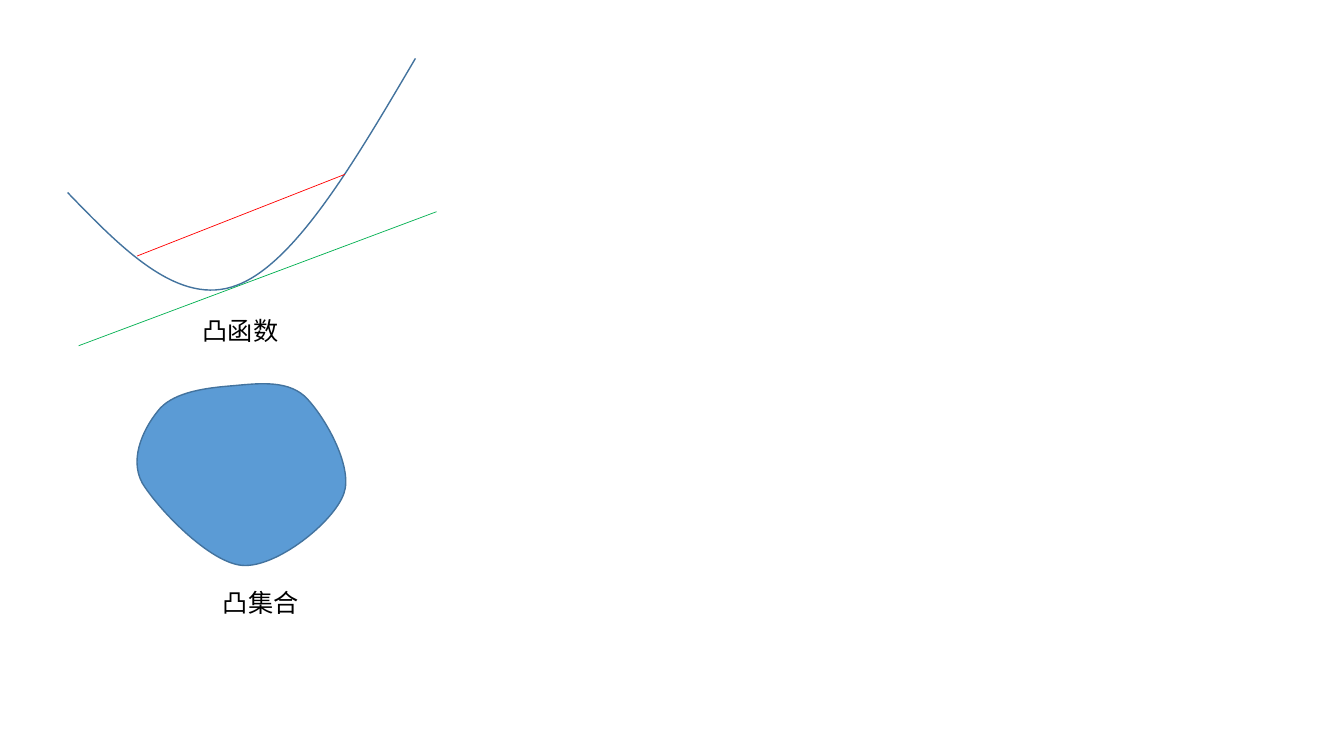
"""Draw a convex function with its chord and tangent, and a convex set."""
from dataclasses import dataclass

from lxml.etree import SubElement
from pptx import Presentation
from pptx.dml.color import RGBColor as Rgb
from pptx.enum.shapes import MSO_CONNECTOR as Link
from pptx.enum.text import MSO_AUTO_SIZE as Fit, PP_ALIGN as Align
from pptx.oxml.ns import qn
from pptx.util import Inches, Pt


@dataclass(frozen=True)
class Theme:
    font: str = "Calibri"
    size: int = 18
    ink: str = "000000"
    fill: str = "5B9BD5"
    edge: str = "43739E"
    chord: str = "FF0000"
    slope: str = "00B050"
    bold: float = 1
    thin: float = 0.5


theme = Theme()
deck = Presentation()
deck.slide_width, deck.slide_height = Inches(13.33), Inches(7.5)
slide = deck.slides.add_slide(deck.slide_layouts[6])
shapes = slide.shapes.add_group_shape().shapes


def curve(box, start, curves, fill=None):
    """Draw a chain of cubic curves inside a box, closed when filled."""
    left, top, width, height = box
    pen = shapes.build_freeform(Inches(left), Inches(top))
    pen.add_line_segments([(Inches(left + width), Inches(top + height))], close=False)
    shape = pen.convert_to_shape()
    route = shape._element.find(".//" + qn("a:path"))
    for part in list(route):
        route.remove(part)
    for tag, points in [("a:moveTo", [start])] + [("a:cubicBezTo", c) for c in curves]:
        part = SubElement(route, qn(tag))
        for x, y in points:
            SubElement(part, qn("a:pt"), x=str(Inches(x - left)), y=str(Inches(y - top)))
    if fill:
        SubElement(route, qn("a:close"))
        shape.fill.solid()
        shape.fill.fore_color.rgb = Rgb.from_string(fill)
    else:
        shape.fill.background()
    shape.shadow.inherit = False
    shape.line.color.rgb = Rgb.from_string(theme.edge)
    shape.line.width = Pt(theme.bold)


def write(text, *, left, top, width, height, size=theme.size, color=theme.ink):
    """Add a centred label."""
    box = shapes.add_textbox(Inches(left), Inches(top), Inches(width), Inches(height))
    frame = box.text_frame
    frame.word_wrap = True
    frame.auto_size = Fit.SHAPE_TO_FIT_TEXT
    line = frame.paragraphs[0]
    line.alignment = Align.CENTER
    run = line.add_run()
    run.text = text
    run.font.name = theme.font
    run.font.size = Pt(size)
    run.font.color.rgb = Rgb.from_string(color)


blob = [
    ((1.74, 3.89), (2.04, 3.85), (2.28, 3.83)),
    ((2.52, 3.81), (2.83, 3.76), (3.02, 3.93)),
    ((3.21, 4.11), (3.51, 4.63), (3.41, 4.9)),
    ((3.31, 5.18), (2.75, 5.63), (2.41, 5.61)),
    ((2.08, 5.59), (1.56, 5.04), (1.41, 4.79)),
    ((1.27, 4.53), (1.45, 4.21), (1.59, 4.05)),
]
bowl = [
    ((1.22, 2.48), (1.78, 3.05), (2.35, 2.83)),
    ((2.93, 2.61), (3.52, 1.6), (4.12, 0.58)),
]
curve((1.36, 3.81, 2.07, 1.8), (1.59, 4.05), blob, fill=theme.fill)
curve((0.67, 0.58, 3.45, 2.3), (0.67, 1.91), bowl)

for ends, color in [
    ((1.36, 2.54, 3.42, 1.73), theme.chord),
    ((0.78, 3.43, 4.33, 2.1), theme.slope),
]:
    line = shapes.add_connector(Link.STRAIGHT, *map(Inches, ends))
    line.line.color.rgb = Rgb.from_string(color)
    line.line.width = Pt(theme.thin)
    SubElement(line._element.spPr, qn("a:effectLst"))

for text, left, top in [("凸集合", 1.77, 5.78), ("凸函数", 1.57, 3.08)]:
    write(text, left=left, top=top, width=1.63, height=0.4)

deck.save("out.pptx")
